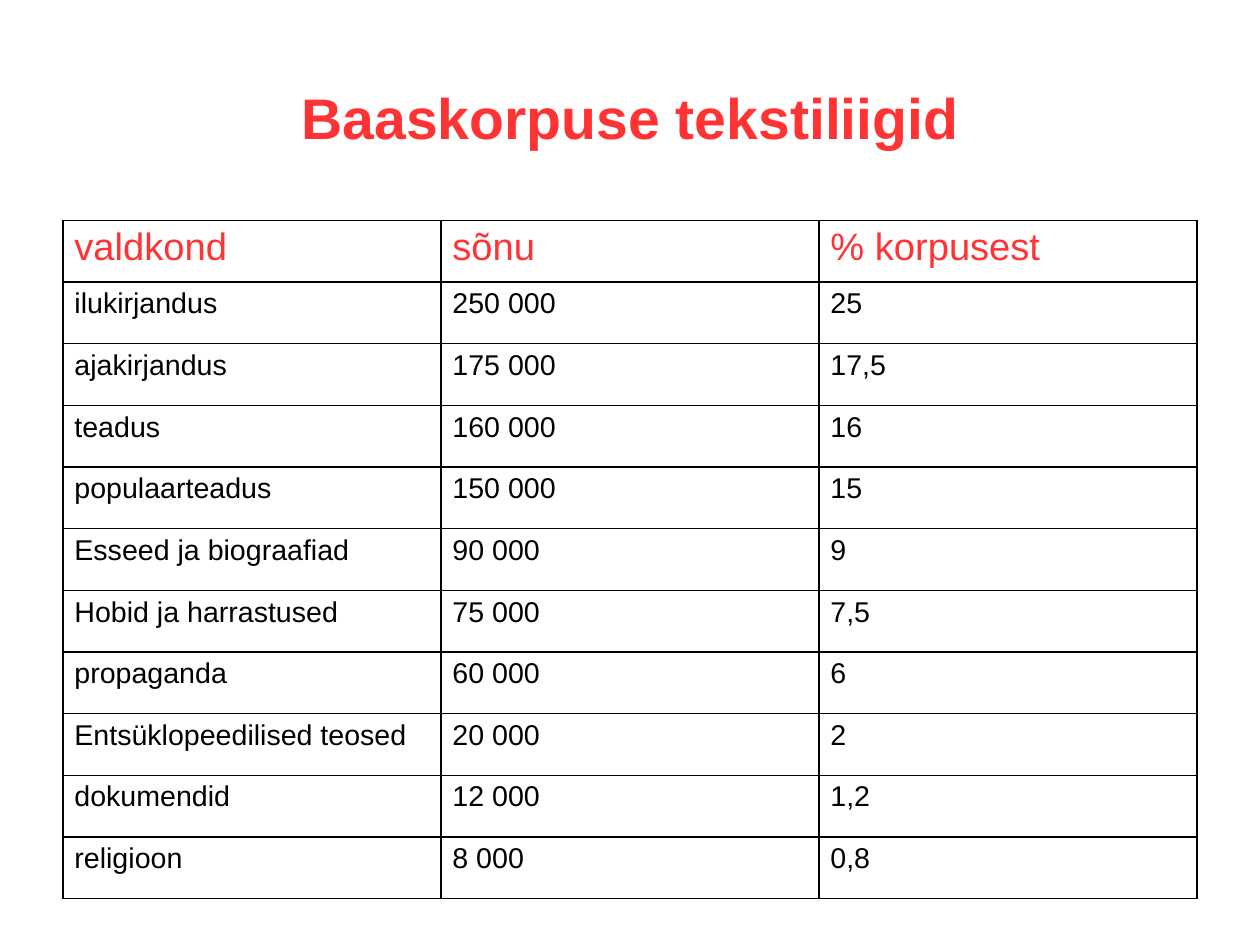
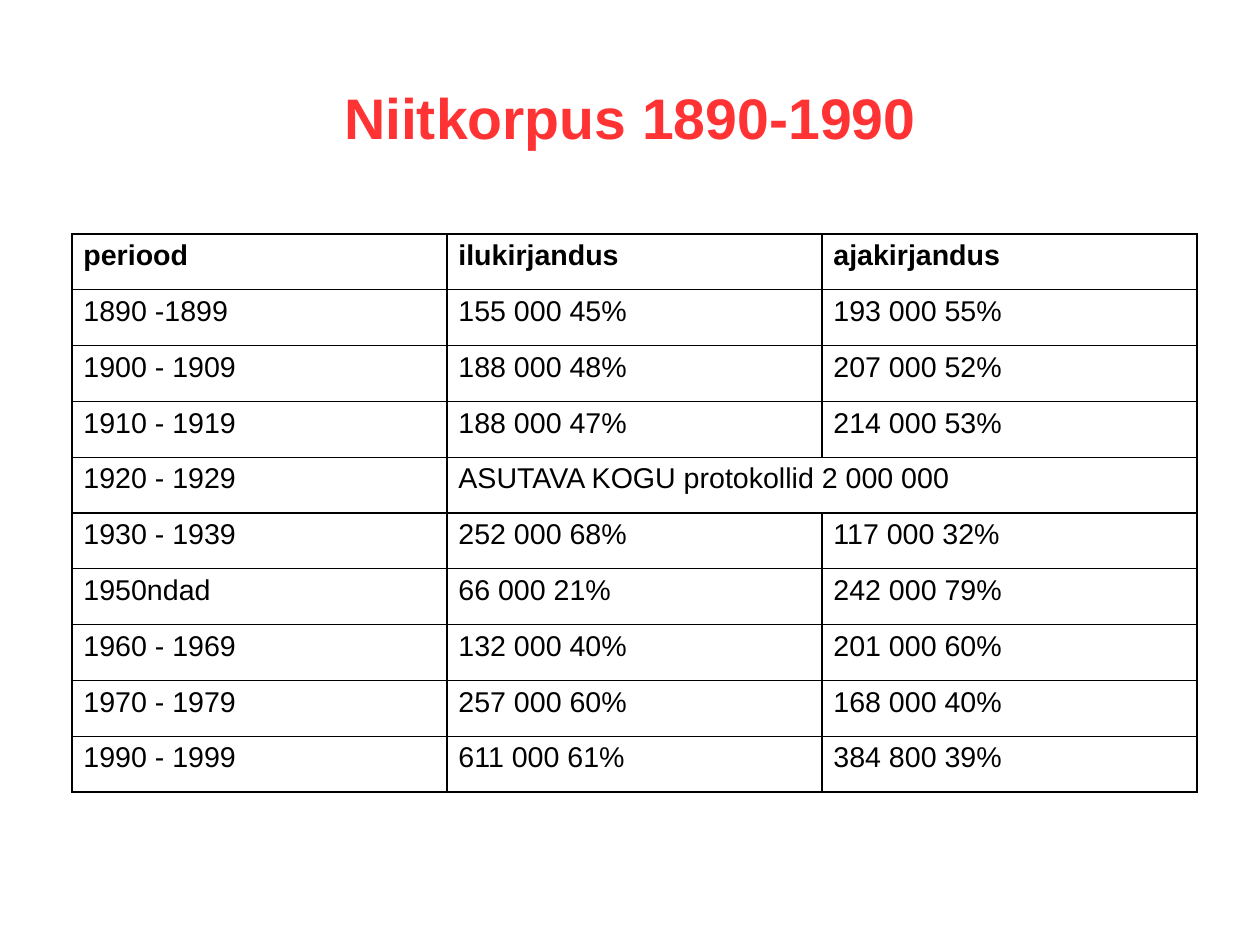
from dataclasses import dataclass

from lxml import etree
from pptx import Presentation
from pptx.dml.color import RGBColor
from pptx.enum.text import MSO_ANCHOR, PP_ALIGN
from pptx.oxml.ns import qn
from pptx.util import Cm, Pt

CENTER = PP_ALIGN.CENTER
MIDDLE = MSO_ANCHOR.MIDDLE
BLANK_LAYOUT = 6
BORDER_SIDES = ("a:lnL", "a:lnR", "a:lnT", "a:lnB")


@dataclass(frozen=True)
class TextStyle:
    """Size, colour and weight of one kind of text."""
    size: int
    color: str
    bold: bool = False


@dataclass(frozen=True)
class Theme:
    """Font, colours and text styles of the whole presentation."""
    font: str = "Arial"
    border_color: str = "000000"
    border_width: int = Pt(1)
    title: TextStyle = TextStyle(36, "FF3333", True)
    red_header: TextStyle = TextStyle(24, "FF3333")
    bold_header: TextStyle = TextStyle(18, "000000", True)
    body: TextStyle = TextStyle(18, "000000")


class Deck:
    """Draws styled elements on the current slide."""

    def __init__(self, theme):
        """Start an empty presentation with the given theme."""
        self.theme = theme
        self.presentation = Presentation()
        self.presentation.slide_width = Cm(28)
        self.presentation.slide_height = Cm(21)
        self.slide = None

    def add_slide(self, title):
        """Add a blank slide with its title."""
        layout = self.presentation.slide_layouts[BLANK_LAYOUT]
        self.slide = self.presentation.slides.add_slide(layout)
        shape = self.slide.shapes.add_textbox(Cm(1.4), Cm(0.84), Cm(25.2), Cm(3.5))
        frame = shape.text_frame
        frame.word_wrap = True
        frame.vertical_anchor = MIDDLE
        frame.margin_left = frame.margin_right = 0
        frame.margin_top = frame.margin_bottom = 0
        self.set_text(frame, title, self.theme.title)
        frame.paragraphs[0].alignment = CENTER

    def set_text(self, frame, text, style):
        """Put one styled paragraph into a text frame."""
        paragraph = frame.paragraphs[0]
        paragraph.text = text
        font = paragraph.font
        font.name = self.theme.font
        font.size = Pt(style.size)
        font.bold = style.bold
        font.color.rgb = RGBColor.from_string(style.color)

    def add_borders(self, cell):
        """Draw a solid line on all four sides of a cell."""
        properties = cell._tc.get_or_add_tcPr()
        for side in BORDER_SIDES:
            line = etree.SubElement(properties, qn(side), w=str(self.theme.border_width))
            fill = etree.SubElement(line, qn("a:solidFill"))
            etree.SubElement(fill, qn("a:srgbClr"), val=self.theme.border_color)

    def add_table(self, rows, left, top, width, row_height, header_style):
        """Add a ruled table; a None entry joins the cell to its left."""
        column_count = len(rows[0])
        table = self.slide.shapes.add_table(
            len(rows), column_count, left, top, width, row_height * len(rows)).table
        table.first_row = table.horz_banding = False
        for row_index, row in enumerate(rows):
            style = self.theme.body if row_index else header_style
            for column_index, text in enumerate(row):
                cell = table.cell(row_index, column_index)
                self.add_borders(cell)
                cell.fill.background()
                if text is None:
                    table.cell(row_index, column_index - 1).merge(cell)
                else:
                    self.set_text(cell.text_frame, text, style)


TEXT_TYPES = [
    ("valdkond", "sõnu", "% korpusest"),
    ("ilukirjandus", "250 000", "25"),
    ("ajakirjandus", "175 000", "17,5"),
    ("teadus", "160 000", "16"),
    ("populaarteadus", "150 000", "15"),
    ("Esseed ja biograafiad", "90 000", "9"),
    ("Hobid ja harrastused", "75 000", "7,5"),
    ("propaganda", "60 000", "6"),
    ("Entsüklopeedilised teosed", "20 000", "2"),
    ("dokumendid", "12 000", "1,2"),
    ("religioon", "8 000", "0,8"),
]

PERIODS = [
    ("periood", "ilukirjandus", "ajakirjandus"),
    ("1890 -1899", "155 000 45%", "193 000 55%"),
    ("1900 - 1909", "188 000 48%", "207 000 52%"),
    ("1910 - 1919", "188 000 47%", "214 000 53%"),
    ("1920 - 1929", "ASUTAVA KOGU protokollid 2 000 000", None),
    ("1930 - 1939", "252 000 68%", "117 000 32%"),
    ("1950ndad", "66 000 21%", "242 000 79%"),
    ("1960 - 1969", "132 000 40%", "201 000 60%"),
    ("1970 - 1979", "257 000 60%", "168 000 40%"),
    ("1990 - 1999", "611 000 61%", "384 800 39%"),
]


def main():
    """Build both slides and save the presentation."""
    theme = Theme()
    deck = Deck(theme)
    deck.add_slide("Baaskorpuse tekstiliigid")
    deck.add_table(TEXT_TYPES, Cm(1.4), Cm(4.9), Cm(25.2), Cm(1.37), theme.red_header)
    deck.add_slide("Niitkorpus 1890-1990")
    deck.add_table(PERIODS, Cm(1.6), Cm(5.2), Cm(25), Cm(1.24), theme.bold_header)
    deck.presentation.save("out.pptx")


main()
